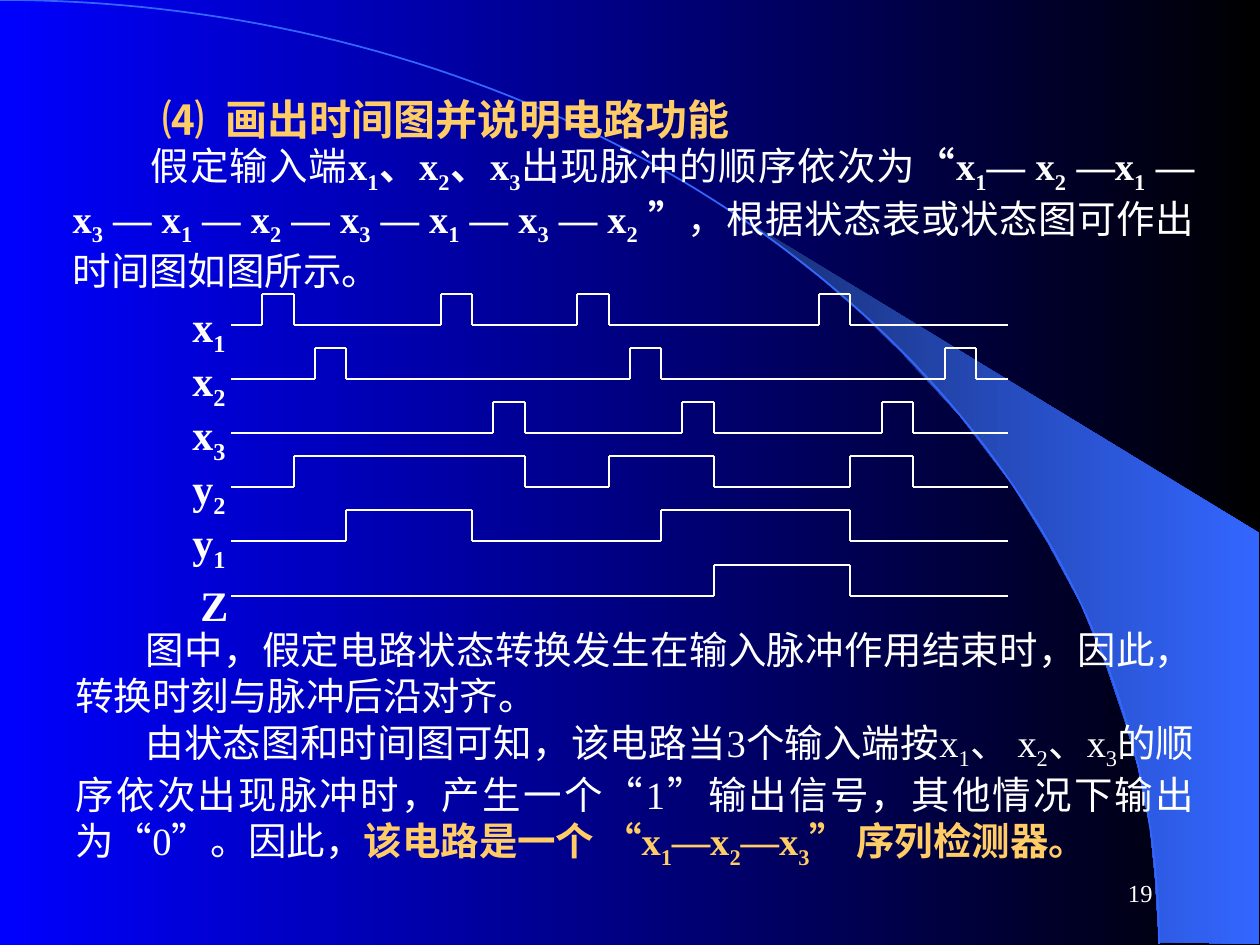
import math
import pptx
import pptx.dml.color
import pptx.enum.shapes
import pptx.enum.text
import pptx.oxml.ns
import pptx.util
from dataclasses import dataclass
from lxml import etree

SCALE = 914400 / 126
ALIGN = pptx.enum.text.PP_ALIGN
AUTO = pptx.enum.text.MSO_AUTO_SIZE
ANCHOR = pptx.enum.text.MSO_ANCHOR


@dataclass(frozen=True)
class Theme:
    face: str = "Times New Roman"
    white: str = "FFFFFF"
    gold: str = "FFCC66"
    blue: str = "3366FF"
    beam: tuple = ("182F76", "3366FF")
    back: tuple = ("0000FF", "000000")
    head: int = 24
    body: int = 22
    small: int = 14
    wave: float = 0.75
    curve: float = 1


THEME = Theme()
PLAIN = {"tint": THEME.white, "size": THEME.body, "bold": False}
BOLD = {**PLAIN, "bold": True}
GOLD = {**BOLD, "tint": THEME.gold}
HEAD = {**GOLD, "size": THEME.head}
LABEL = {**BOLD, "size": THEME.head}
SMALL = {**PLAIN, "size": THEME.small}

INTRO = [[
    ("假定输入端", PLAIN),
    ("x_1、x_2、x_3", BOLD),
    ("出现脉冲的顺序依次为", PLAIN),
    ("“x_1— x_2 —x_1 — x_3 — x_1 — x_2 — x_3 — x_1 — x_3 — x_2 ”", BOLD),
    ("，根据状态表或状态图可作出时间图如图所示。", PLAIN),
]]
CLOSE = [
    [("图中，假定电路状态转换发生在输入脉冲作用结束时，因此，转换时刻与脉冲后沿对齐。", PLAIN)],
    [("由状态图和时间图可知，该电路当3个输入端按x_1、 x_2、x_3"
      "的顺序依次出现脉冲时，产生一个“1”输出信号，其他情况下输出为“0”。因此，", PLAIN),
     ("该电路是一个 “x_1—x_2—x_3” 序列检测器。", GOLD)],
]
WAVES = [
    ("x_1", [3, 6, 20, 23, 33, 36, 56, 59]),
    ("x_2", [8, 11, 38, 41, 68, 71]),
    ("x_3", [25, 28, 43, 46, 62, 65]),
    ("y_2", [6, 28, 36, 46, 59, 65]),
    ("y_1", [11, 23, 41, 59]),
    ("Z", [46, 59]),
]
BEAM = [(1159, 942), (1259, 944), (1259, 533), (742, 218), (786, 251), (823, 280),
        (863, 315), (902, 353), (960, 416), (1012, 484), (1048, 543), (1081, 604),
        (1106, 665), (1125, 721), (1138, 767), (1150, 827), (1155, 877)]


def px(num):
    return pptx.util.Emu(round(num * SCALE))


def rgb(tint):
    return pptx.dml.color.RGBColor.from_string(tint)


def give(item, vals):
    for key, val in vals.items():
        setattr(item, key, val)


def blend(fill, tints):
    fill.gradient()
    fill.gradient_angle = 0
    for stop, tint in zip(fill.gradient_stops, tints):
        stop.color.rgb = rgb(tint)


def add_run(par, text, look, low=False):
    if not text:
        return
    run = par.add_run()
    run.text = text
    give(run.font, {"name": THEME.face, "size": pptx.util.Pt(look["size"]),
                    "bold": look["bold"]})
    run.font.color.rgb = rgb(look["tint"])
    if low:
        run.font._element.set("baseline", "-25000")


def add_parts(par, parts):
    for text, look in parts:
        first, *rest = text.split("_")
        add_run(par, first, look)
        for part in rest:
            add_run(par, part[0], look, True)
            add_run(par, part[1:], look)


def place(shape, box):
    give(shape, dict(zip(("left", "top", "width", "height"), map(px, box))))


def fill_text(shape, pars, align=ALIGN.LEFT, indent=0, tab=0, **frame):
    give(shape.text_frame, {"word_wrap": True, "auto_size": AUTO.SHAPE_TO_FIT_TEXT,
                            "vertical_anchor": ANCHOR.TOP, **frame})
    for num, parts in enumerate(pars):
        par = shape.text_frame.paragraphs[0] if num == 0 else shape.text_frame.add_paragraph()
        give(par, {"alignment": align, "space_before": pptx.util.Pt(0)})
        props = par._p.get_or_add_pPr()
        props.set("marL", "0")
        props.set("indent", str(px(indent)))
        etree.SubElement(props, pptx.oxml.ns.qn("a:buNone"))
        if tab:
            tabs = etree.SubElement(props, pptx.oxml.ns.qn("a:tabLst"))
            etree.SubElement(tabs, pptx.oxml.ns.qn("a:tab"), pos=str(px(tab)), algn="l")
        add_parts(par, parts)


def add_note(slide, box, text, look, **form):
    fill_text(slide.shapes.add_textbox(*map(px, box)), [[(text, look)]], **form)


def add_line(slide, start, end):
    line = slide.shapes.add_connector(
        pptx.enum.shapes.MSO_CONNECTOR.STRAIGHT, *map(px, (*start, *end)))
    line.line.color.rgb = rgb(THEME.white)
    line.line.width = pptx.util.Pt(THEME.wave)
    etree.SubElement(line.element.spPr, pptx.oxml.ns.qn("a:effectLst"))


def add_wave(slide, base, ticks):
    high, left, right = 31, 231, 1008
    edges = [left + tick * 21 // 2 for tick in ticks]
    stops = [left, *edges, right]
    for num, (start, end) in enumerate(zip(stops, stops[1:])):
        level = base - high * (num % 2)
        add_line(slide, (start, level), (end, level))
    for edge in edges:
        add_line(slide, (edge, base - high), (edge, base))


def add_waves(slide):
    for num, (name, ticks) in enumerate(WAVES):
        base = 325 + num * 271 // 5
        add_wave(slide, base, ticks)
        box = (180, base - 31, 58, 71) if "_" in name else (188, base - 23, 53, 63)
        add_note(slide, box, name, LABEL, word_wrap=False)


def add_free(slide, points, close):
    first, *rest = [(px(x), px(y)) for x, y in points]
    pen = slide.shapes.build_freeform(*first)
    pen.add_line_segments(rest, close=close)
    shape = pen.convert_to_shape()
    shape.shadow.inherit = False
    slide.shapes.title.element.addprevious(shape.element)
    return shape


def add_back(slide):
    blend(slide.background.fill, THEME.back)
    beam = add_free(slide, BEAM, True)
    blend(beam.fill, THEME.beam)
    beam.line.fill.background()
    turns = [math.pi / 2 * step / 90 for step in range(91)]
    curve = add_free(slide, [(1159 * math.sin(turn), 944 * (1 - math.cos(turn)))
                             for turn in turns], False)
    curve.fill.background()
    curve.line.color.rgb = rgb(THEME.blue)
    curve.line.width = pptx.util.Pt(THEME.curve)


def main():
    deck = pptx.Presentation()
    give(deck, {"slide_width": px(1260), "slide_height": px(945)})
    slide = deck.slides.add_slide(deck.slide_layouts[3])
    title, intro, close = slide.placeholders
    add_back(slide)
    place(title, (150, 87, 616, 63))
    fill_text(title, [[("⑷\t画出时间图并说明电路功能", HEAD)]], tab=60)
    place(intro, (60, 136, 1147, 168))
    fill_text(intro, INTRO, ALIGN.JUSTIFY, 78)
    place(close, (63, 620, 1144, 257))
    fill_text(close, CLOSE, ALIGN.JUSTIFY, 70)
    add_waves(slide)
    add_note(slide, (903, 861, 262, 63), "19", SMALL, align=ALIGN.RIGHT,
             auto_size=AUTO.NONE, vertical_anchor=ANCHOR.MIDDLE)
    deck.save("out.pptx")


if __name__ == "__main__":
    main()
